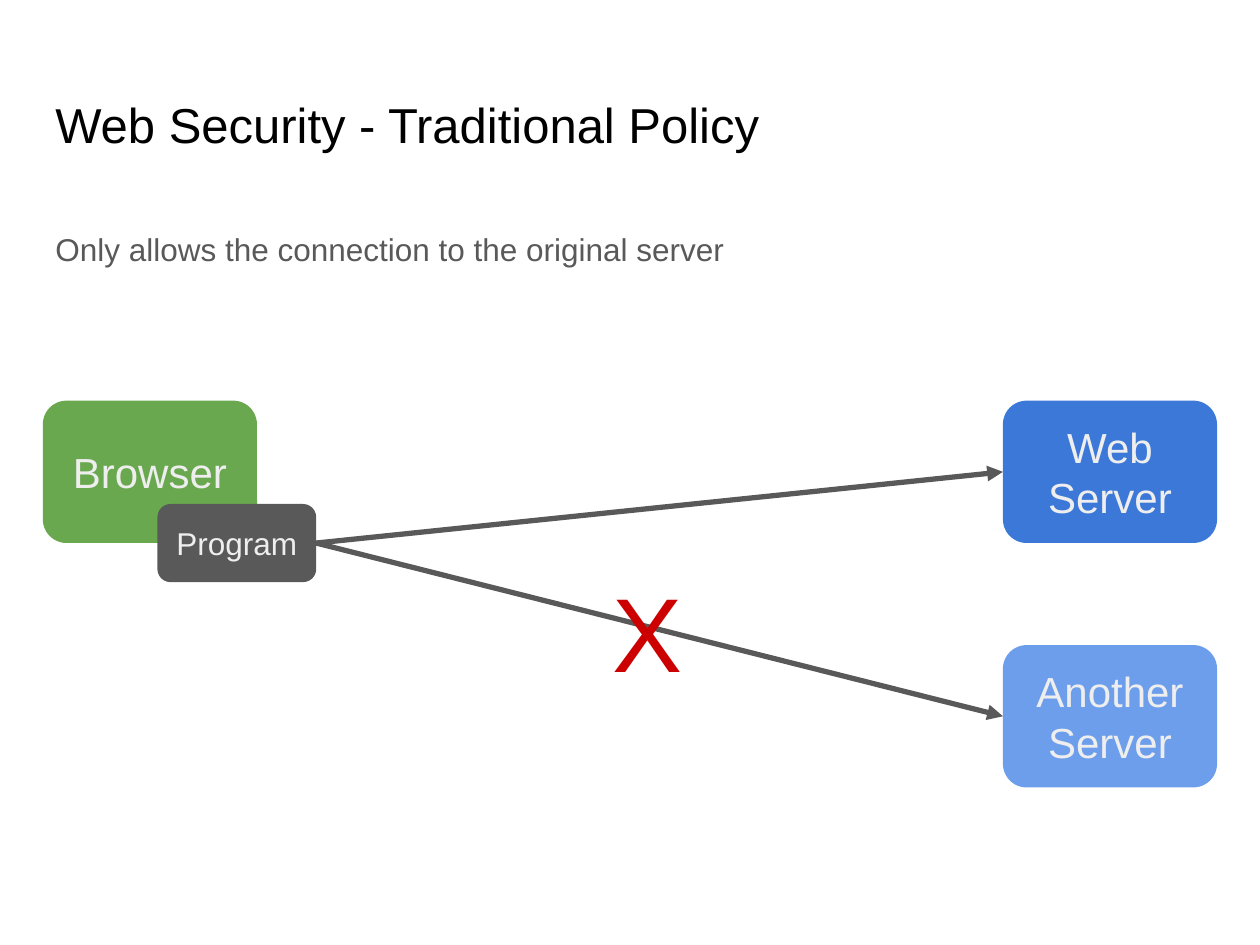
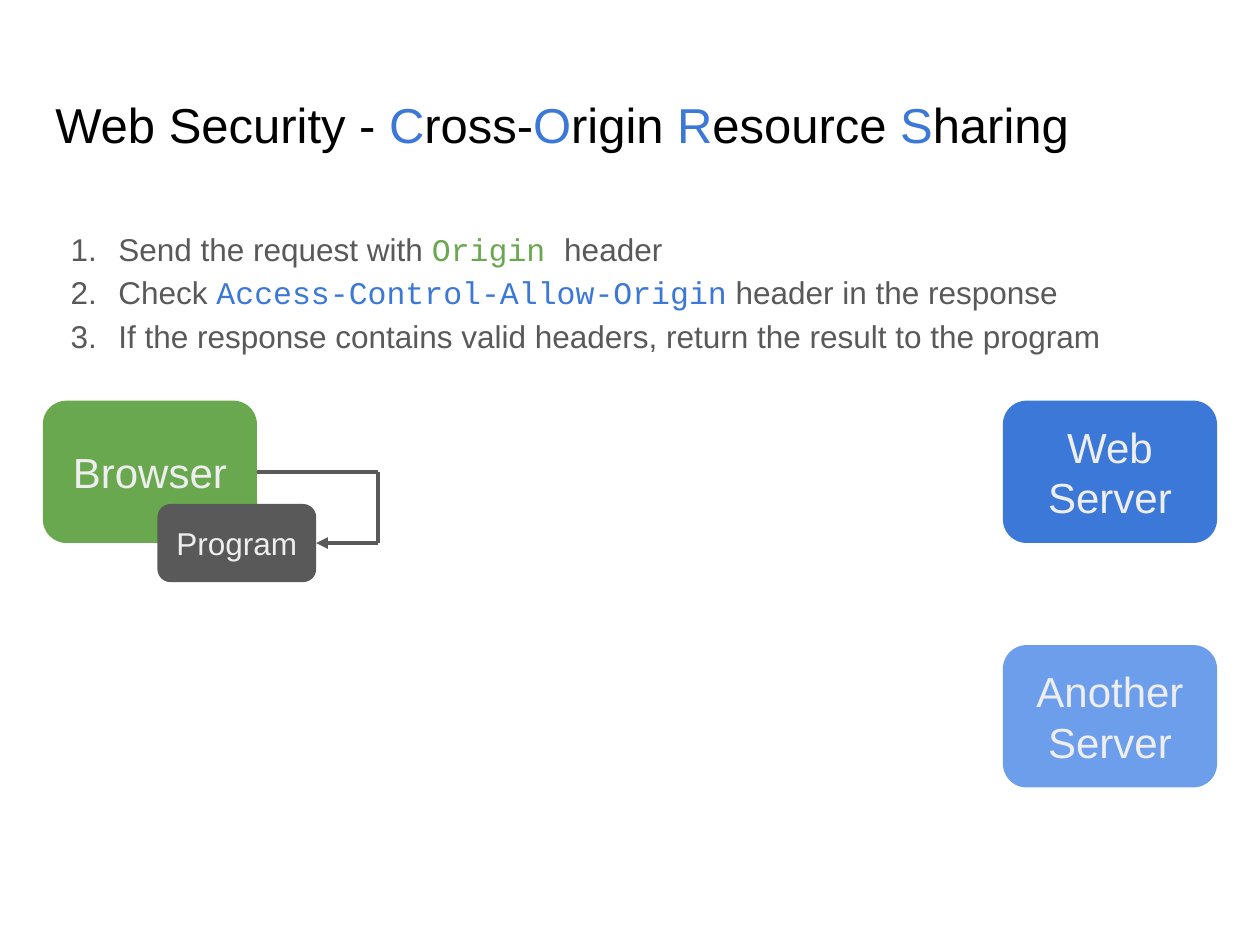
from pptx import Presentation
from pptx.dml.color import RGBColor
from pptx.enum.shapes import MSO_CONNECTOR, MSO_SHAPE
from pptx.enum.text import MSO_ANCHOR, MSO_AUTO_SIZE, PP_ALIGN
from pptx.oxml.ns import qn
from pptx.util import Inches, Pt
from lxml import etree

ROUNDED = MSO_SHAPE.ROUNDED_RECTANGLE
STRAIGHT = MSO_CONNECTOR.STRAIGHT
LEFT, CENTER = PP_ALIGN.LEFT, PP_ALIGN.CENTER
TOP, MIDDLE = MSO_ANCHOR.TOP, MSO_ANCHOR.MIDDLE
NO_FIT = MSO_AUTO_SIZE.NONE
LEFT_SITE, RIGHT_SITE = 1, 3

# Shared look
SANS, MONO = "Arial", "Courier New"
BLACK, GRAY, PALE, RED = "000000", "595959", "EEEEEE", "CC0000"
GREEN, BLUE, LIGHT_BLUE = "6AA84F", "3C78D8", "6D9EEB"

# Shared grid, in inches
SLIDE_W, SLIDE_H = 10, 7.5
MARGIN = 0.34
CONTENT_W = SLIDE_W - 2 * MARGIN
NODE_W, NODE_H = 1.7, 1.13
SERVER_X = SLIDE_W - MARGIN - NODE_W
ROW_1, ROW_2 = 3.18, 5.12
LOOP_X = 0.3 * SLIDE_W


def rgb(color):
    return RGBColor.from_string(color)


def style_run(run, size, color, font=SANS):
    run.font.size = Pt(size)
    run.font.name = font
    run.font.color.rgb = rgb(color)


def prepare_frame(shape, anchor):
    frame = shape.text_frame
    frame.word_wrap = True
    frame.auto_size = NO_FIT
    frame.vertical_anchor = anchor
    frame.margin_left = frame.margin_right = Inches(0.1)
    frame.margin_top = frame.margin_bottom = Inches(0.1)
    return frame


def place(shape, left, top, width, height):
    shape.left, shape.top = Inches(left), Inches(top)
    shape.width, shape.height = Inches(width), Inches(height)


def fill_paragraph(paragraph, parts, size):
    """Each part is (text, color) or (text, color, font)."""
    paragraph.alignment = LEFT
    for text, *look in parts:
        run = paragraph.add_run()
        run.text = text
        style_run(run, size, *look)


def set_list_mark(paragraph, numbered):
    props = paragraph._p.get_or_add_pPr()
    props.set("marL", str(Inches(0.5 if numbered else 0)))
    props.set("indent", str(Inches(-0.38 if numbered else 0)))
    if numbered:
        mark_color = etree.SubElement(props, qn("a:buClr"))
        etree.SubElement(mark_color, qn("a:srgbClr"), val=GRAY)
        etree.SubElement(props, qn("a:buAutoNum"), type="arabicPeriod")
    else:
        etree.SubElement(props, qn("a:buNone"))


def add_page(deck, title_parts, body_lines, numbered=False, space_after=0):
    slide = deck.slides.add_slide(deck.slide_layouts[1])
    title, body = slide.shapes.title, slide.placeholders[1]

    place(title, MARGIN, 0.65, CONTENT_W, 0.83)
    fill_paragraph(prepare_frame(title, TOP).paragraphs[0], title_parts, 28)

    place(body, MARGIN, 1.68, CONTENT_W, 4.98)
    frame = prepare_frame(body, TOP)
    for index, parts in enumerate(body_lines):
        line = frame.add_paragraph() if index else frame.paragraphs[0]
        fill_paragraph(line, parts, 18)
        line.line_spacing = 1.15
        line.space_before, line.space_after = Pt(0), Pt(space_after)
        set_list_mark(line, numbered)
    return slide


def add_label(shape, label, size, color):
    paragraph = prepare_frame(shape, MIDDLE).paragraphs[0]
    paragraph.text = label
    paragraph.alignment = CENTER
    style_run(paragraph.runs[0], size, color)


def add_node(slide, label, fill, left, top, width=NODE_W, height=NODE_H, size=24):
    node = slide.shapes.add_shape(
        ROUNDED, Inches(left), Inches(top), Inches(width), Inches(height))
    node.shadow.inherit = False
    node.fill.solid()
    node.fill.fore_color.rgb = rgb(fill)
    node.line.fill.background()
    add_label(node, label, size, PALE)
    return node


def add_network(slide):
    """The browser with its program, and the two servers."""
    web = add_node(slide, "Web Server", BLUE, SERVER_X, ROW_1)
    browser = add_node(slide, "Browser", GREEN, MARGIN, ROW_1)
    program = add_node(slide, "Program", GRAY, 1.25, 4, 1.26, 0.62, 18)
    another = add_node(slide, "Another Server", LIGHT_BLUE, SERVER_X, ROW_2)
    return browser, program, web, another


def add_line(slide, start, end, width, arrow=False):
    line = slide.shapes.add_connector(STRAIGHT, *start, *end)
    line.line.color.rgb = rgb(GRAY)
    line.line.width = Pt(width)
    if arrow:
        etree.SubElement(line.line._get_or_add_ln(), qn("a:tailEnd"), type="triangle")
    etree.SubElement(line._element.spPr, qn("a:effectLst"))
    return line


def right_middle(node):
    return node.left + node.width, node.top + node.height // 2


def left_middle(node):
    return node.left, node.top + node.height // 2


def add_request(slide, program, server):
    arrow = add_line(slide, right_middle(program), left_middle(server), 3, arrow=True)
    arrow.begin_connect(program, RIGHT_SITE)
    arrow.end_connect(server, LEFT_SITE)


def build_traditional_policy(deck):
    slide = add_page(
        deck,
        [("Web Security - Traditional Policy", BLACK)],
        [[("Only allows the connection to the original server", GRAY)]],
        space_after=16)
    _, program, web, another = add_network(slide)
    for server in (web, another):
        add_request(slide, program, server)

    # Cross over the refused request
    cross = slide.shapes.add_textbox(
        Inches(4.45), Inches(4.64), Inches(1.38), Inches(0.72))
    add_label(cross, "X", 60, RED)


def build_resource_sharing(deck):
    slide = add_page(
        deck,
        [("Web Security - ", BLACK), ("C", BLUE), ("ross-", BLACK),
         ("O", BLUE), ("rigin ", BLACK), ("R", BLUE), ("esource ", BLACK),
         ("S", BLUE), ("haring", BLACK)],
        [[("Send the request with ", GRAY), ("Origin ", GREEN, MONO), ("header", GRAY)],
         [("Check ", GRAY), ("Access-Control-Allow-Origin", BLUE, MONO),
          (" header in the response", GRAY)],
         [("If the response contains valid headers, "
           "return the result to the program", GRAY)]],
        numbered=True)
    browser, program, _, _ = add_network(slide)

    # Result handed from the browser back to the program
    start, end = right_middle(browser), right_middle(program)
    upper, lower = (Inches(LOOP_X), start[1]), (Inches(LOOP_X), end[1])
    add_line(slide, start, upper, 2.25)
    add_line(slide, lower, end, 2.25, arrow=True)
    add_line(slide, upper, lower, 2.25)


def main():
    deck = Presentation()
    deck.slide_width, deck.slide_height = Inches(SLIDE_W), Inches(SLIDE_H)
    build_traditional_policy(deck)
    build_resource_sharing(deck)
    deck.save("out.pptx")


if __name__ == "__main__":
    main()
